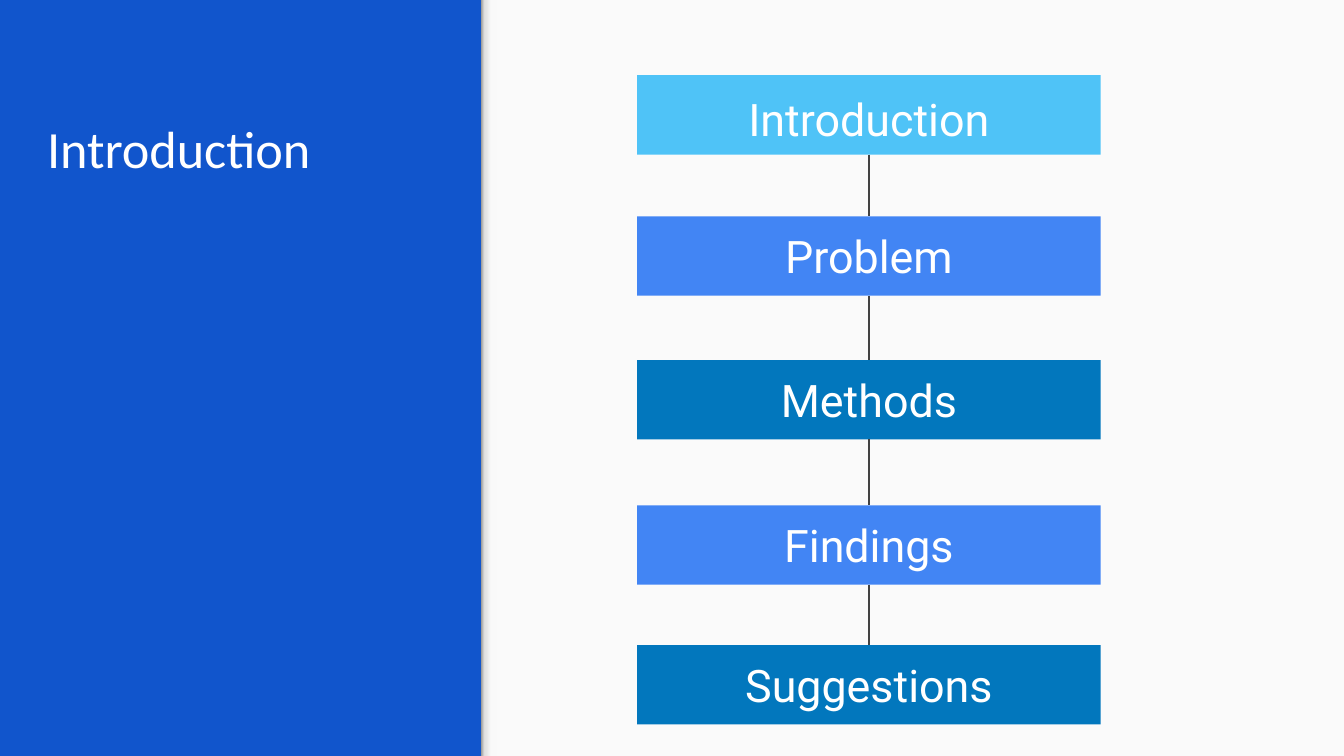
from copy import deepcopy
from itertools import pairwise

from pptx import Presentation
from pptx.dml.color import RGBColor
from pptx.enum.shapes import MSO_CONNECTOR, MSO_SHAPE
from pptx.enum.text import MSO_ANCHOR, MSO_AUTO_SIZE, PP_ALIGN
from pptx.oxml.ns import qn
from pptx.util import Inches, Pt

RECTANGLE = MSO_SHAPE.RECTANGLE
STRAIGHT = MSO_CONNECTOR.STRAIGHT
LEFT, CENTER = PP_ALIGN.LEFT, PP_ALIGN.CENTER
BOTTOM, MIDDLE = MSO_ANCHOR.BOTTOM, MSO_ANCHOR.MIDDLE
NO_AUTOFIT = MSO_AUTO_SIZE.NONE

THEME = {
    "background": "1155CC",
    "panel": "FAFAFA",
    "edge": [(0, "999999"), (0.2, "DEDEDE"), (0.64, "F9F9F9"), (1, "F9F9F9")],
    "light": "4FC3F7",
    "medium": "4285F4",
    "dark": "0277BD",
    "line": "424242",
    "text": "FFFFFF",
    "title_font": "Calibri",
    "title_size": 28,
    "step_font": "Roboto",
    "step_size": 24,
}


def add_block(left, top, width, height, color):
    block = slide.shapes.add_shape(
        RECTANGLE, Inches(left), Inches(top), Inches(width), Inches(height))
    block.shadow.inherit = False
    block.fill.solid()
    block.fill.fore_color.rgb = RGBColor.from_string(color)
    block.line.fill.background()
    return block


def write(shape, text, font, size, align, anchor):
    frame = shape.text_frame
    frame.text = text
    frame.word_wrap = True
    frame.auto_size = NO_AUTOFIT
    frame.vertical_anchor = anchor
    frame.margin_left = frame.margin_right = Inches(0.1)
    frame.margin_top = frame.margin_bottom = Inches(0.1)
    paragraph = frame.paragraphs[0]
    paragraph.alignment = align
    run_font = paragraph.runs[0].font
    run_font.name = THEME[font]
    run_font.size = Pt(THEME[size])
    run_font.color.rgb = RGBColor.from_string(THEME["text"])
    return paragraph


# Widescreen slide, 16:9
slide_width = 10
slide_height = slide_width * 9 / 16
prs = Presentation()
prs.slide_width, prs.slide_height = Inches(slide_width), Inches(slide_height)
slide = prs.slides.add_slide(prs.slide_layouts[5])
slide.background.fill.solid()
slide.background.fill.fore_color.rgb = RGBColor.from_string(THEME["background"])

# Light panel with a shaded left edge
panel_left = 3.58
add_block(panel_left, 0, slide_width - panel_left, slide_height, THEME["panel"])
edge = add_block(panel_left, 0, 0.12, slide_height, THEME["panel"])
edge.fill.gradient()
edge.fill.gradient_angle = 0
stop_list = next(edge.element.iter(qn("a:gsLst")))
while len(stop_list) < len(THEME["edge"]):
    stop_list.append(deepcopy(stop_list[0]))
for stop, (position, color) in zip(edge.fill.gradient_stops, THEME["edge"]):
    stop.position = position
    stop.color.rgb = RGBColor.from_string(color)

# Title
title = slide.shapes.title
title.left, title.top = Inches(0.25), Inches(0.39)
title.width, title.height = Inches(3.07), Inches(1.04)
write(title, "Introduction", "title_font", "title_size", LEFT, BOTTOM)

# Steps of the report
steps = [
    ("Introduction", 0.56, "light"),
    ("Problem", 1.61, "medium"),
    ("Methods", 2.68, "dark"),
    ("Findings", 3.76, "medium"),
    ("Suggestions", 4.8, "dark"),
]
step_left, step_width, step_height = 4.74, 3.45, 0.59
step_paragraphs = []
for label, top, color in steps:
    step = add_block(step_left, top, step_width, step_height, THEME[color])
    step_paragraphs.append(
        write(step, label, "step_font", "step_size", CENTER, MIDDLE))
step_paragraphs[0].line_spacing = 1.15

# Lines between neighbouring steps
middle = Inches(step_left + step_width / 2)
for (_, upper, _), (_, lower, _) in pairwise(steps):
    link = slide.shapes.add_connector(
        STRAIGHT, middle, Inches(upper + step_height), middle, Inches(lower))
    link.line.color.rgb = RGBColor.from_string(THEME["line"])
    link.line.width = Pt(0.75)
    link.element.spPr.append(link.element.makeelement(qn("a:effectLst"), {}))

prs.save("out.pptx")
